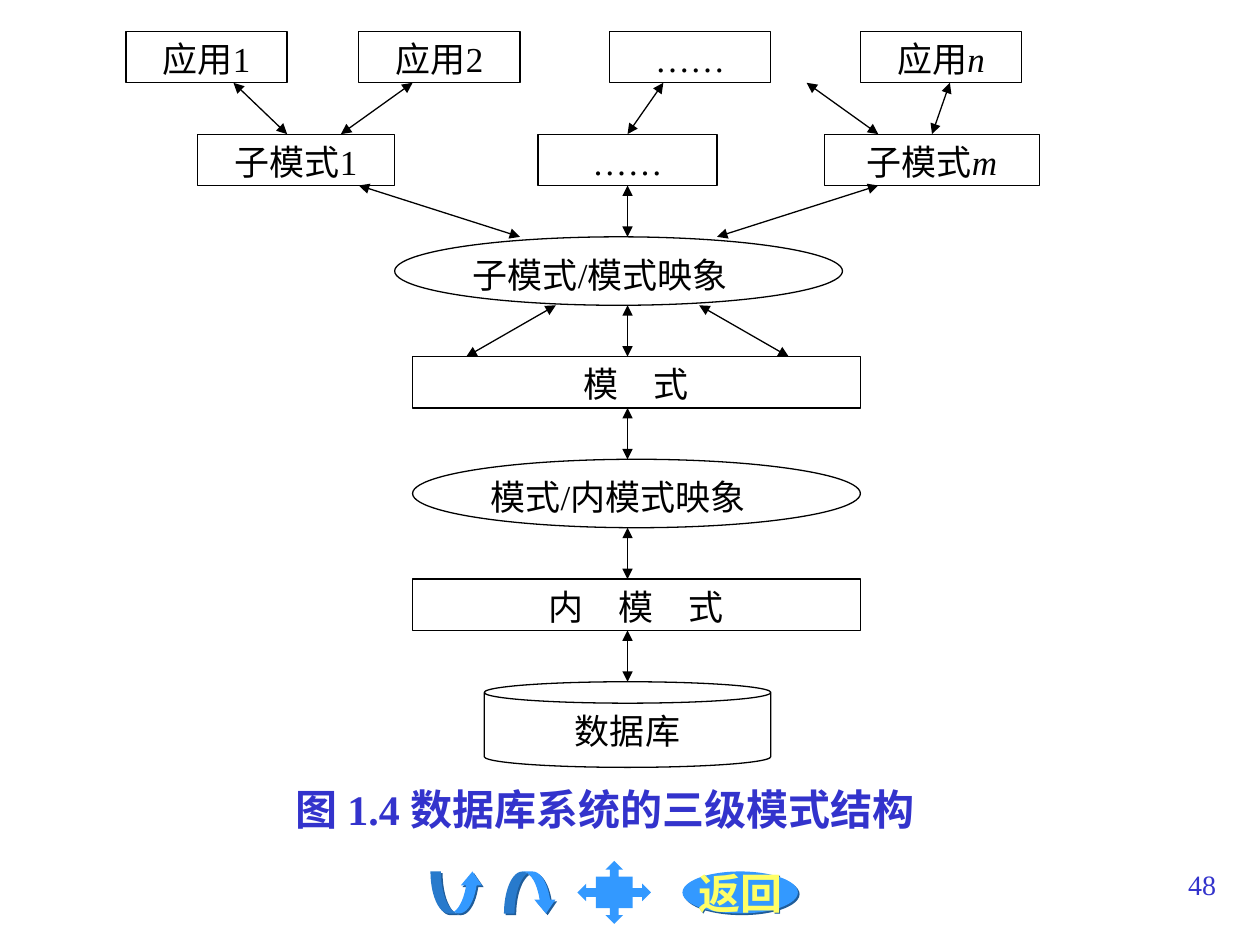
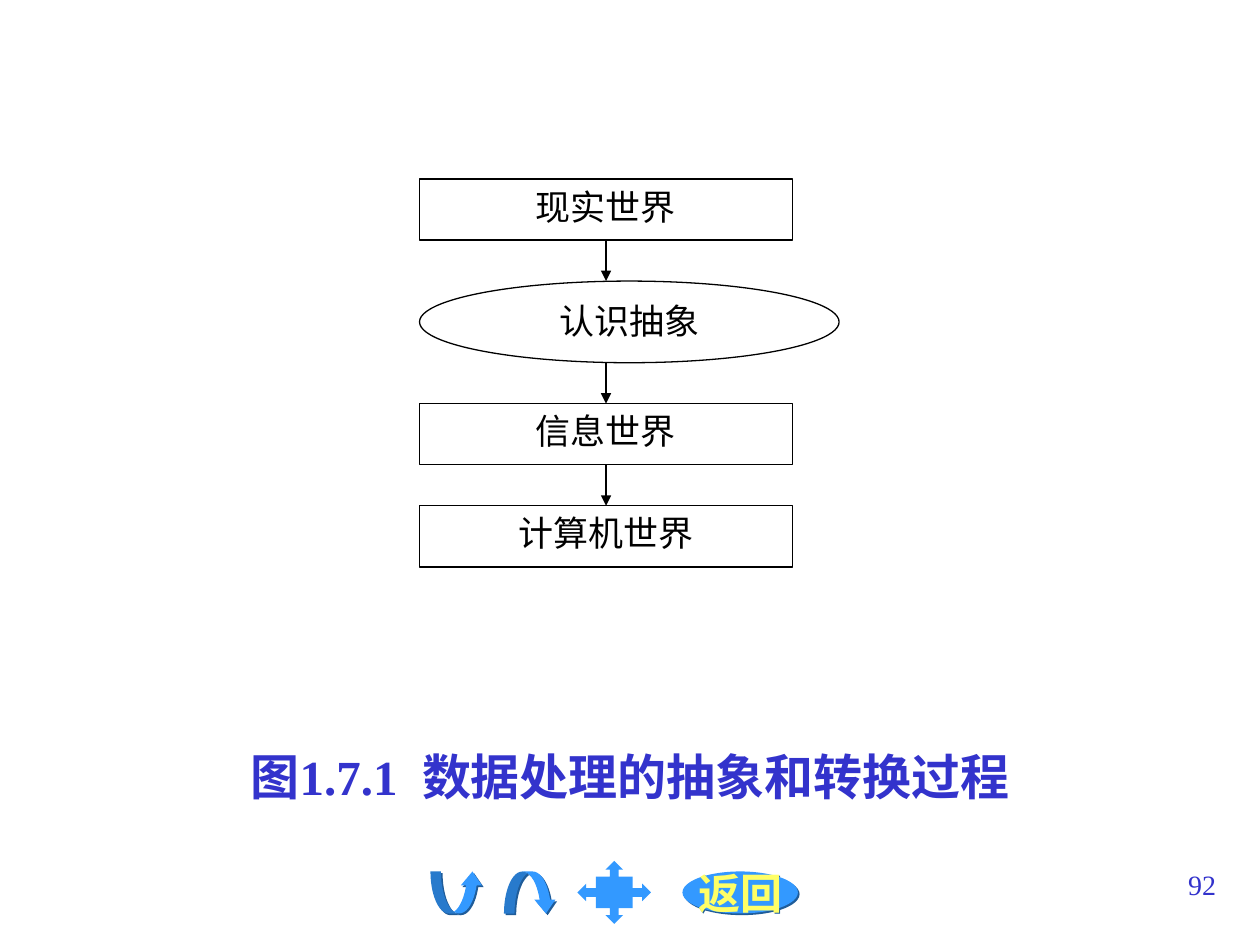
from dataclasses import dataclass

from pptx import Presentation
from pptx import util as u
from pptx.dml.color import RGBColor
from pptx.enum import lang, shapes, text
from pptx.oxml import parse_xml
from pptx.oxml.ns import nsdecls

BLACK = RGBColor(0x00, 0x00, 0x00)
WHITE = RGBColor(0xFF, 0xFF, 0xFF)
CAPTION_BLUE = RGBColor(0x33, 0x33, 0xCC)
BUTTON_BLUE = RGBColor(0x33, 0x99, 0xFF)
BUTTON_SHADOW = RGBColor(0x1F, 0x5C, 0x99)
BUTTON_YELLOW = RGBColor(0xFF, 0xFF, 0x66)
FONT = "Times New Roman"

KIND = shapes.MSO_SHAPE
ALIGN = text.PP_ALIGN
TOP, BOTTOM = 0, 2


@dataclass
class Grid:
    """A box, in inches, divided into equal columns and rows."""
    left: float
    top: float
    width: float
    height: float
    columns: int
    rows: int

    def x(self, column):
        return u.Inches(self.left + self.width * column / self.columns)

    def y(self, row):
        return u.Inches(self.top + self.height * row / self.rows)

    def place(self, column, row, columns, rows):
        left, top = self.x(column), self.y(row)
        return left, top, self.x(column + columns) - left, self.y(row + rows) - top


PAGE = Grid(0, 0, 10, 7.5, 120, 90)
SCHEMA_GRID = Grid(1, 0.25, 7.25, 5.84, 51, 43)
WORLD_GRID = Grid(3.33, 1.42, 3.33, 3.08, 9, 38)


def write(frame, wording, size, color, align, bold=False, italic_tail=""):
    frame.text = wording
    paragraph = frame.paragraphs[0]
    paragraph.alignment = align
    if italic_tail:
        tail = paragraph.add_run()
        tail.text = italic_tail
        tail.font.italic = True
    for run in paragraph.runs:
        run.font.name = FONT
        run.font.size = u.Pt(size)
        run.font.bold = bold
        run.font.color.rgb = color
        run.font.language_id = lang.MSO_LANGUAGE_ID.SIMPLIFIED_CHINESE


def add_label(slide, place, wording, size, align, bold=False):
    label = slide.shapes.add_textbox(*place)
    label.text_frame.word_wrap = True
    write(label.text_frame, wording, size, CAPTION_BLUE, align, bold)


def add_node(slide, grid, kind, place, wording, italic_tail="", align=ALIGN.CENTER):
    node = slide.shapes.add_shape(kind, *grid.place(*place))
    node.shadow.inherit = False
    node.fill.solid()
    node.fill.fore_color.rgb = WHITE
    node.line.color.rgb = BLACK
    node.line.width = u.Pt(0.75)
    node.text_frame.word_wrap = True
    node.text_frame.vertical_anchor = text.MSO_ANCHOR.TOP
    write(node.text_frame, wording, 20, BLACK, align, italic_tail=italic_tail)
    return node


def add_arrow(slide, grid, start, end, ends):
    """Draw from one grid point to another, with a head at each of the named ends."""
    arrow = slide.shapes.add_connector(
        shapes.MSO_CONNECTOR.STRAIGHT,
        grid.x(start[0]), grid.y(start[1]), grid.x(end[0]), grid.y(end[1]))
    arrow.line.color.rgb = BLACK
    arrow.line.width = u.Pt(0.75)
    line = arrow.line._get_or_add_ln()
    for tag in ends:
        line.append(parse_xml(f'<a:{tag} {nsdecls("a")} type="triangle"/>'))
    arrow._element.spPr.append(parse_xml(f'<a:effectLst {nsdecls("a")}/>'))
    return arrow


def add_button(slide, kind, place, adjustments=(), shadow=True):
    button = slide.shapes.add_shape(kind, *PAGE.place(*place))
    for index, share in enumerate(adjustments):
        button.adjustments[index] = share
    button.fill.solid()
    button.fill.fore_color.rgb = BUTTON_BLUE
    button.line.fill.background()
    button.shadow.inherit = False
    if shadow:
        effects = button._element.spPr.find(
            "{http://schemas.openxmlformats.org/drawingml/2006/main}effectLst")
        effects.append(parse_xml(
            f'<a:outerShdw {nsdecls("a")} dist="{u.Pt(1.4)}" dir="2700000" algn="ctr" '
            f'rotWithShape="0"><a:srgbClr val="{BUTTON_SHADOW}"/></a:outerShdw>'))
    return button


def add_footer(slide, number):
    """Navigation buttons and the page number."""
    curve = (0.25, 0.5, 0.33)
    add_button(slide, KIND.CURVED_UP_ARROW, (41, 83, 5, 4), curve)
    add_button(slide, KIND.CURVED_DOWN_ARROW, (48, 83, 5, 4), curve)
    back = add_button(slide, KIND.OVAL, (65, 83, 11, 4))
    back.text_frame.word_wrap = False
    back.text_frame.vertical_anchor = text.MSO_ANCHOR.MIDDLE
    write(back.text_frame, "返回", 24, BUTTON_YELLOW, ALIGN.CENTER, bold=True)
    add_button(slide, KIND.QUAD_ARROW_CALLOUT, (55, 82, 7, 6),
               (0.14, 0.14, 0.14, 0.5), shadow=False)
    add_label(slide, PAGE.place(92, 82, 25, 6), number, 16, ALIGN.RIGHT)


def draw_three_schemas(slide, grid):
    applications = [(0, "应用1", ""), (13, "应用2", ""),
                    (27, "……", ""), (41, "应用", "n")]
    for column, wording, tail in applications:
        add_node(slide, grid, KIND.RECTANGLE, (column, 0, 9, 3), wording, tail)

    subschemas = [(4, 11, "子模式1", ""), (23, 10, "……", ""), (39, 12, "子模式", "m")]
    _, middle, last = [
        add_node(slide, grid, KIND.RECTANGLE, (column, 6, width, 3), wording, tail)
        for column, width, wording, tail in subschemas]

    for column, row, wording in [(15, 12, "子模式/模式映象"), (16, 25, "模式/内模式映象")]:
        add_node(slide, grid, KIND.OVAL, (column, row, 25, 4), wording,
                 align=ALIGN.JUSTIFY)
    for row, wording in [(19, "模　式"), (32, "内　模　式")]:
        add_node(slide, grid, KIND.FLOWCHART_PROCESS, (16, row, 25, 3), wording)
    database = add_node(slide, grid, KIND.CAN, (20, 38, 16, 5), "数据库")
    database.adjustments[0] = 0.25

    # Each level: upper row, lower row, then (upper column, lower column) pairs
    levels = [
        (3, 6, [(6, 9), (16, 12), (30, 28), (38, 42), (46, 45)]),
        (9, 12, [(25 - 12, 22), (28, 28), (42, 33)]),
        (16, 19, [(24, 19), (28, 28), (32, 37)]),
        (22, 25, [(28, 28)]),
        (29, 32, [(28, 28)]),
        (35, 38, [(28, 28)]),
    ]
    joins = {(28, 6): (middle, TOP), (45, 6): (last, TOP), (28, 9): (middle, BOTTOM)}
    for upper, lower, pairs in levels:
        for start_column, end_column in pairs:
            start, end = (start_column, upper), (end_column, lower)
            arrow = add_arrow(slide, grid, start, end, ("headEnd", "tailEnd"))
            if start in joins:
                arrow.begin_connect(*joins[start])
            if end in joins:
                arrow.end_connect(*joins[end])


def draw_worlds(slide, grid):
    real, information, computer = [
        add_node(slide, grid, KIND.RECTANGLE, (0, row, 8, 6), wording)
        for row, wording in [(0, "现实世界"), (22, "信息世界"), (32, "计算机世界")]]
    add_node(slide, grid, KIND.OVAL, (0, 10, 9, 8), "认识抽象")

    steps = [(6, 10, real, None), (18, 22, None, information),
             (28, 32, information, computer)]
    for upper, lower, source, target in steps:
        arrow = add_arrow(slide, grid, (4, upper), (4, lower), ("tailEnd",))
        if source:
            arrow.begin_connect(source, BOTTOM)
        if target:
            arrow.end_connect(target, TOP)


def main():
    deck = Presentation()
    deck.slide_width, deck.slide_height = u.Inches(10), u.Inches(7.5)
    pages = [
        ("48", draw_three_schemas, SCHEMA_GRID, (27, 74, 83, 6),
         "图 1.4 数据库系统的三级模式结构", 24, ALIGN.LEFT),
        ("92", draw_worlds, WORLD_GRID, (9, 70.5, 102, 7),
         "图1.7.1  数据处理的抽象和转换过程", 28, ALIGN.CENTER),
    ]
    for number, draw, grid, caption_place, caption, size, align in pages:
        slide = deck.slides.add_slide(deck.slide_layouts[6])
        add_footer(slide, number)
        draw(slide, grid)
        add_label(slide, PAGE.place(*caption_place), caption, size, align, bold=True)
    deck.save("out.pptx")


if __name__ == "__main__":
    main()
